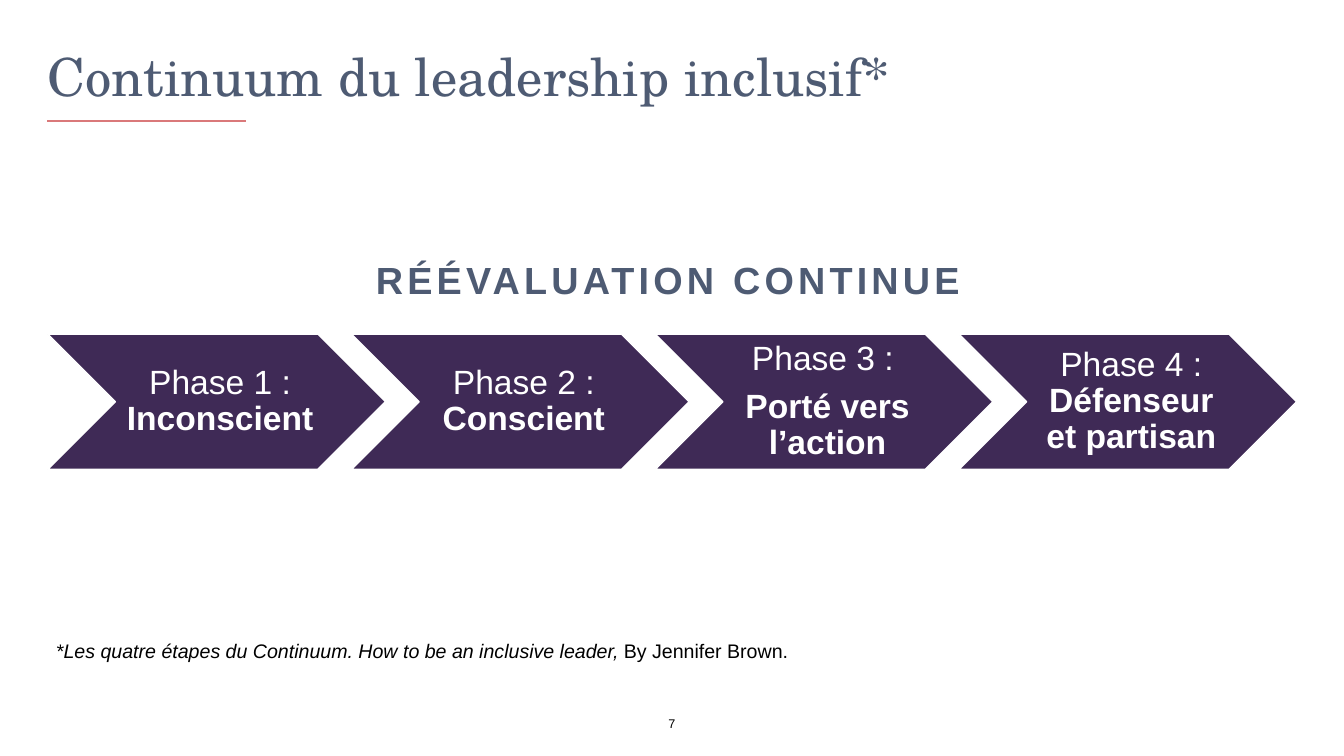
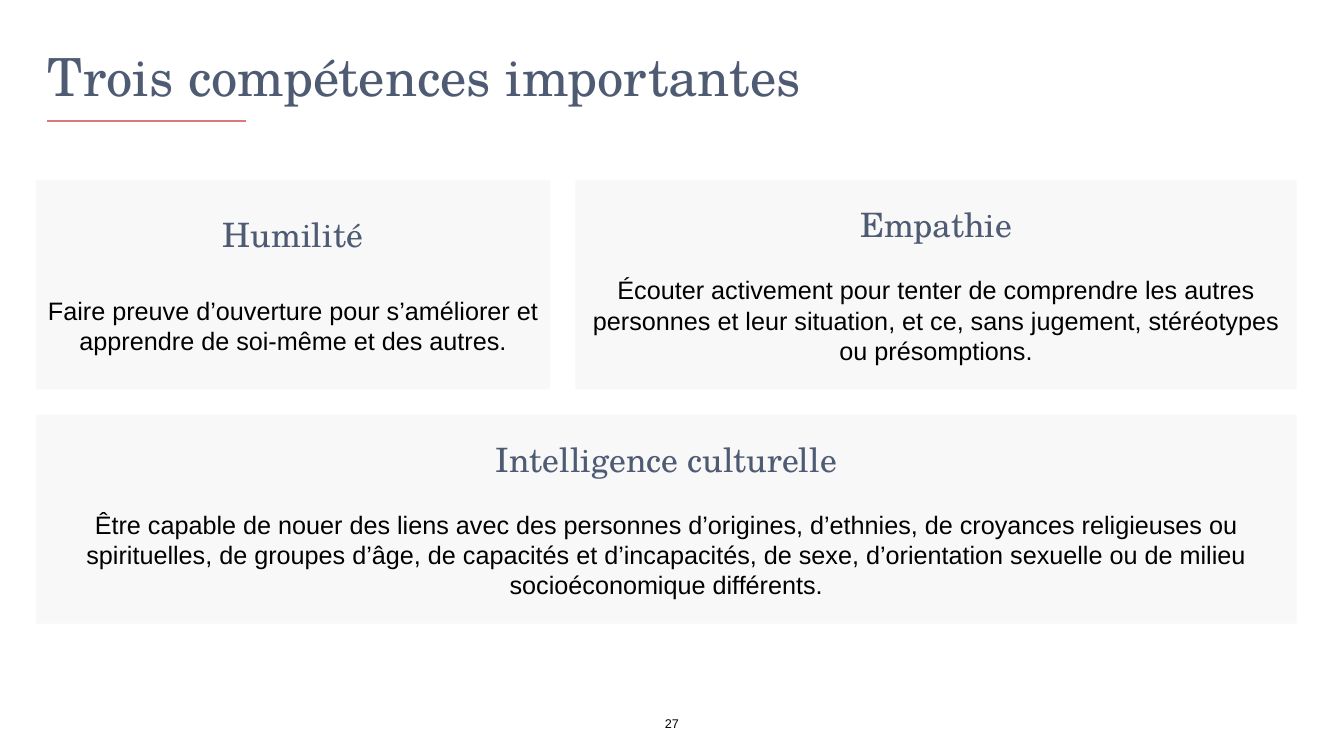
from dataclasses import dataclass

from pptx import Presentation
from pptx.dml.color import RGBColor
from pptx.enum.shapes import MSO_CONNECTOR, MSO_SHAPE
from pptx.enum.text import MSO_ANCHOR, PP_ALIGN
from pptx.oxml.ns import qn
from pptx.util import Pt

STRAIGHT = MSO_CONNECTOR.STRAIGHT
CHEVRON, RECTANGLE = MSO_SHAPE.CHEVRON, MSO_SHAPE.RECTANGLE
TOP, MIDDLE, BOTTOM = MSO_ANCHOR.TOP, MSO_ANCHOR.MIDDLE, MSO_ANCHOR.BOTTOM
LEFT, CENTER = PP_ALIGN.LEFT, PP_ALIGN.CENTER


@dataclass(frozen=True)
class Theme:
    slate: RGBColor = RGBColor(0x4E, 0x5B, 0x73)
    coral: RGBColor = RGBColor(0xDA, 0x79, 0x7A)
    purple: RGBColor = RGBColor(0x3F, 0x2A, 0x56)
    pale: RGBColor = RGBColor(0xF8, 0xF8, 0xF8)
    white: RGBColor = RGBColor(0xFF, 0xFF, 0xFF)
    black: RGBColor = RGBColor(0x00, 0x00, 0x00)
    serif: str = "TeX Gyre Schola"
    sans: str = "Arial"
    title_size: int = 75
    banner_size: int = 54
    heading_size: int = 48
    body_size: int = 36
    note_size: int = 28
    number_size: int = 18


THEME = Theme()
SLIDE_WIDTH, SLIDE_HEIGHT = 1920.24, 1080

PHASES = [
    [["Phase 1 : ", "Inconscient"]],
    [["Phase 2 : ", "Conscient"]],
    [["Phase 3 : "], ["", "Porté vers l’action"]],
    [["Phase 4 : ", "Défenseur et partisan"]],
]

HUMILITY = ("Humilité", "Faire preuve d’ouverture pour s’améliorer et "
            "apprendre de soi‐même et des autres.")
EMPATHY = ("Empathie", "Écouter activement pour tenter de comprendre les autres "
           "personnes et leur situation, et ce, sans jugement, stéréotypes "
           "ou présomptions.")
CULTURE = ("Intelligence culturelle",
           "Être capable de nouer des liens avec des personnes d’origines, "
           "d’ethnies, de croyances religieuses ou spirituelles, de groupes d’âge, "
           "de capacités et d’incapacités, de sexe, d’orientation sexuelle ou de "
           "milieu socioéconomique différents.")


def points(box):
    return [Pt(length) for length in box]


def style(run, size, color, name=THEME.sans, bold=False, italic=False):
    font = run.font
    font.size, font.name = Pt(size), name
    font.color.rgb = color
    font.bold, font.italic = bold, italic


def set_frame(text_frame, anchor, margins=(0, 0, 0, 0)):
    text_frame.word_wrap = True
    text_frame.vertical_anchor = anchor
    (text_frame.margin_left, text_frame.margin_top,
     text_frame.margin_right, text_frame.margin_bottom) = points(margins)


def add_text(slide, box, text, size, color, name=THEME.sans, bold=False,
             anchor=TOP, alignment=LEFT):
    """Add a one-paragraph text box without margins and return its paragraph."""
    text_frame = slide.shapes.add_textbox(*points(box)).text_frame
    set_frame(text_frame, anchor)
    text_frame.text = text
    paragraph = text_frame.paragraphs[0]
    paragraph.alignment = alignment
    style(paragraph.runs[0], size, color, name, bold)
    return paragraph


def add_block(slide, kind, box, fill, outline=None):
    shape = slide.shapes.add_shape(kind, *points(box))
    shape.shadow.inherit = False
    shape.fill.solid()
    shape.fill.fore_color.rgb = fill
    if outline is None:
        shape.line.fill.background()
    else:
        shape.line.color.rgb = outline
        shape.line.width = Pt(2)
    return shape


def add_base_slide(presentation, title, number):
    """Add a slide with the shared title, underline and page number."""
    slide = presentation.slides.add_slide(presentation.slide_layouts[6])
    left, top, width, height = 67.7, 30.2, 1785.6, 124.6
    paragraph = add_text(slide, (left, top, width, height), title,
                         THEME.title_size, THEME.slate, THEME.serif, anchor=BOTTOM)
    paragraph.line_spacing = 0.9

    rule_top = top + height + 18.7
    rule = slide.shapes.add_connector(
        STRAIGHT, *points((left, rule_top, left + 283.7, rule_top)))
    rule.line.color.rgb = THEME.coral
    rule.line.width = Pt(3)
    properties = rule._element.spPr
    properties.append(properties.makeelement(qn("a:effectLst"), {}))

    add_text(slide, (928, 1018.8, 64, 30), str(number), THEME.number_size,
             THEME.black, anchor=MIDDLE, alignment=CENTER)
    return slide


def add_phase(slide, box, paragraphs):
    """Draw one chevron; each paragraph is a plain part and an optional bold part."""
    shape = add_block(slide, CHEVRON, box, THEME.purple, THEME.white)
    text_frame = shape.text_frame
    set_frame(text_frame, MIDDLE, (15, 5, 5, 5))
    for index, parts in enumerate(paragraphs):
        paragraph = text_frame.add_paragraph() if index else text_frame.paragraphs[0]
        paragraph.alignment = CENTER
        paragraph.line_spacing = 0.9
        paragraph.space_after = Pt(17)
        for part, bold in zip(parts, (False, True)):
            if part:
                run = paragraph.add_run()
                run.text = part
                style(run, THEME.heading_size, THEME.white, bold=bold)


def add_phase_row(slide, box):
    left, top, width, height = box
    phase_width = 482.4
    step = (width - phase_width) / (len(PHASES) - 1)
    for index, paragraphs in enumerate(PHASES):
        add_phase(slide, (left + index * step, top, phase_width, height), paragraphs)


def add_source_note(slide, box):
    paragraph = add_text(
        slide, box, "*Les quatre étapes du Continuum. How to be an inclusive leader, ",
        THEME.note_size, THEME.black)
    paragraph.runs[0].font.italic = True
    author = paragraph.add_run()
    author.text = "By Jennifer Brown."
    style(author, THEME.note_size, THEME.black)


def add_card(slide, box, content, gap):
    """Draw a card whose heading and body text are separated by the given gap."""
    shape = add_block(slide, RECTANGLE, box, THEME.pale)
    text_frame = shape.text_frame
    set_frame(text_frame, MIDDLE, (7.2, 3.6, 7.2, 3.6))
    text_frame.text = "\n".join(content)
    heading, body = text_frame.paragraphs
    heading.alignment = body.alignment = CENTER
    body.space_before = Pt(gap)
    style(heading.runs[0], THEME.heading_size, THEME.slate, THEME.serif)
    style(body.runs[0], THEME.body_size, THEME.black)


def add_skill_cards(slide, box):
    left, top, width, height = box
    gap, humility_width = 36, 735
    row_height = (height - gap) / 2
    empathy_offset = humility_width + gap
    add_card(slide, (left, top, humility_width, row_height), HUMILITY, 58)
    add_card(slide, (left + empathy_offset, top, width - empathy_offset, row_height),
             EMPATHY, 43)
    add_card(slide, (left, top + row_height + gap, width, row_height), CULTURE, 43)


def build_continuum_slide(presentation):
    slide = add_base_slide(presentation, "Continuum du leadership inclusif*", 7)
    banner = add_text(slide, (537, 367.2, 849, 65.5), "RÉÉVALUATION CONTINUE",
                      THEME.banner_size, THEME.slate, bold=True)
    banner.runs[0].font._element.set("spc", "600")
    banner._parent.word_wrap = False
    add_phase_row(slide, (68.4, 477.4, 1784.2, 193))
    add_source_note(slide, (80, 912.2, 1566.7, 34))


def build_skills_slide(presentation):
    slide = add_base_slide(presentation, "Trois compétences importantes", 27)
    add_skill_cards(slide, (51.2, 257.8, 1801.4, 633))


def main():
    presentation = Presentation()
    presentation.slide_width = Pt(SLIDE_WIDTH)
    presentation.slide_height = Pt(SLIDE_HEIGHT)
    build_continuum_slide(presentation)
    build_skills_slide(presentation)
    presentation.save("out.pptx")


if __name__ == "__main__":
    main()
